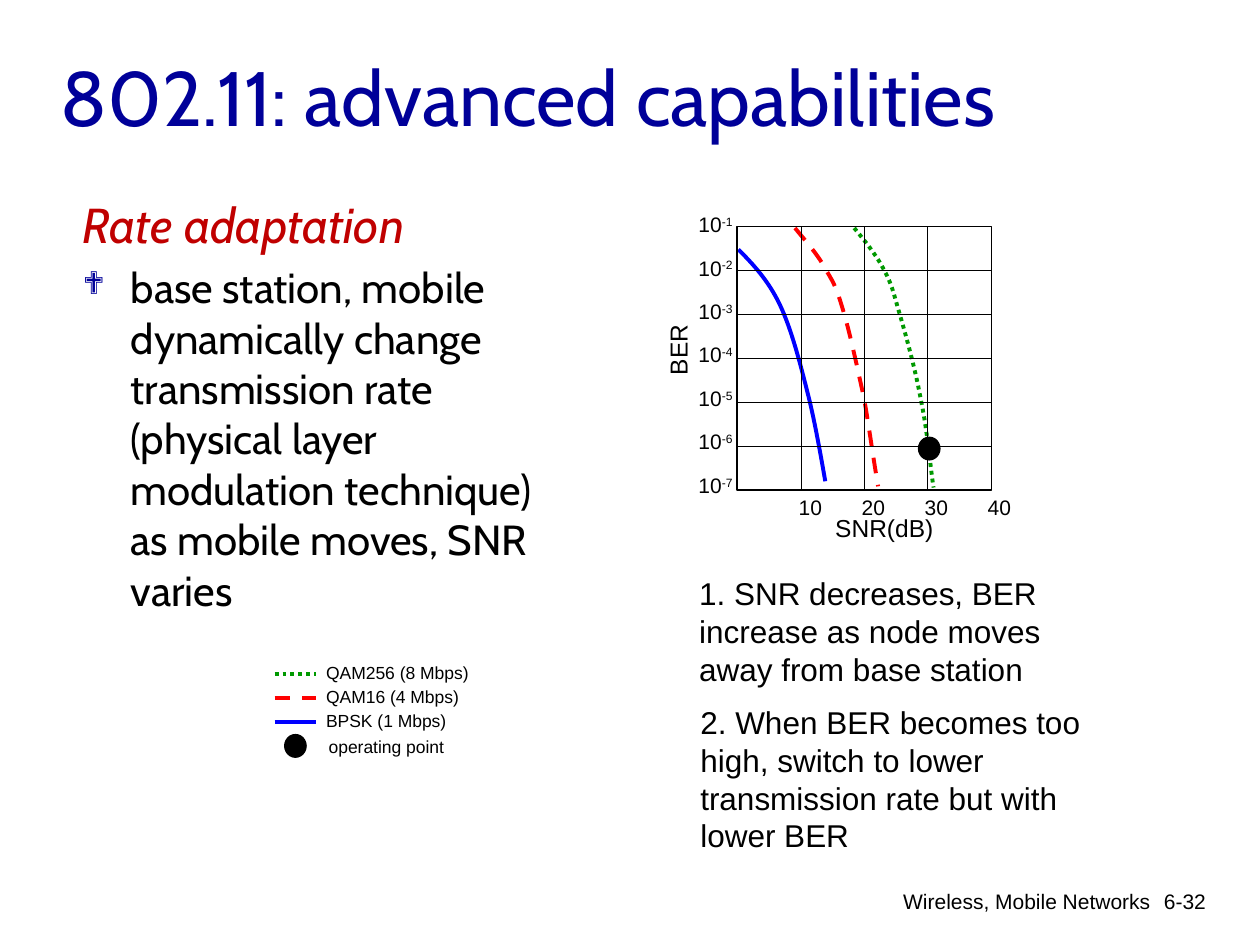
from dataclasses import dataclass

import lxml.etree
import pptx
import pptx.dml.color
import pptx.enum.dml
import pptx.enum.shapes
import pptx.enum.text
import pptx.oxml.ns
import pptx.util

RGB = pptx.dml.color.RGBColor
BLACK = RGB(0x00, 0x00, 0x00)
NAVY = RGB(0x00, 0x00, 0x99)
CRIMSON = RGB(0xC0, 0x00, 0x00)
GREEN = RGB(0x00, 0x99, 0x00)
RED = RGB(0xFF, 0x00, 0x00)
BLUE = RGB(0x00, 0x00, 0xFF)

DASH = pptx.enum.dml.MSO_LINE
AUTO = pptx.enum.text.MSO_AUTO_SIZE
SHAPE = pptx.enum.shapes.MSO_SHAPE
RIGHT = pptx.enum.text.PP_ALIGN.RIGHT
qn = pptx.oxml.ns.qn

# The slide is a grid of 100 columns by 75 rows of square cells.
CELL = pptx.util.Inches(0.1)
COLS, ROWS = 100, 75
PLOT_X, PLOT_Y, PLOT_W, PLOT_H = 58.5, 18, 20.2, 20.9
PLOT_COLS, PLOT_ROWS = 4, 6
TICK_GAP = 5
DOT_W, DOT_H = 1.7, 1.8


@dataclass
class Series:
    """A modulation scheme; points are a start and then Bezier triples."""
    name: str
    color: RGB
    dash: DASH
    points: list[tuple[float, float]]


@dataclass
class Label:
    text: str
    x: float
    y: float
    w: float
    h: float
    size: float = 12
    sup: str = ""
    wrap: bool = False
    align: pptx.enum.text.PP_ALIGN | None = None
    rotation: float = 0


SERIES = [
    Series("QAM256 (8 Mbps)", GREEN, DASH.ROUND_DOT, [
        (67.8, 18.1), (68.7, 19.2), (69.6, 20.3), (70.2, 21.5),
        (70.8, 22.6), (70.9, 23.2), (71.4, 24.9),
        (71.9, 26.6), (72.7, 29.5), (73.1, 31.8),
        (73.6, 34.1), (73.9, 37.6), (74.1, 38.7)]),
    Series("QAM16 (4 Mbps)", RED, DASH.DASH, [
        (63.1, 18.1), (64, 19.2), (65, 20.3), (65.6, 21.5),
        (66.3, 22.6), (66.5, 23.2), (67, 24.9),
        (67.5, 26.6), (68.1, 29.4), (68.6, 31.7),
        (69, 34), (69.3, 36.3), (69.7, 38.6)]),
    Series("BPSK (1 Mbps)", BLUE, DASH.SOLID, [
        (58.6, 19.8), (59.8, 21), (61, 22.3), (61.9, 24.2),
        (62.8, 26.1), (63.5, 28.8), (64.1, 31.2),
        (64.7, 33.5), (65.3, 37.1), (65.5, 38.2)]),
]


def cells(*counts: float) -> list[int]:
    return [round(n * CELL) for n in counts]


def add_run(p, text: str, size: float, name: str = "Arial", color: RGB = BLACK,
            italic: bool = False):
    r = p.add_run()
    r.text = text
    style = {"size": pptx.util.Pt(size), "name": name, "italic": italic}
    for key, value in style.items():
        setattr(r.font, key, value)
    r.font.color.rgb = color
    return r


def add_label(s, label: Label) -> None:
    box = s.shapes.add_textbox(*cells(label.x, label.y, label.w, label.h))
    box.rotation = label.rotation
    tf = box.text_frame
    tf.word_wrap = label.wrap
    tf.auto_size = AUTO.NONE if label.wrap else AUTO.SHAPE_TO_FIT_TEXT
    p = tf.paragraphs[0]
    p.alignment = label.align
    add_run(p, label.text, label.size)
    if label.sup:
        r = add_run(p, label.sup, label.size)
        r.font._element.set("baseline", "30000")


def style_line(line, color: RGB, width: float, dash: DASH = DASH.SOLID) -> None:
    line.color.rgb = color
    line.width = pptx.util.Pt(width)
    line.dash_style = dash


def add_line(s, x1: float, y1: float, x2: float, y2: float, color: RGB = BLACK,
             width: float = 0.75, dash: DASH = DASH.SOLID):
    c = s.shapes.add_connector(pptx.enum.shapes.MSO_CONNECTOR.STRAIGHT,
                               *cells(x1, y1, x2, y2))
    style_line(c.line, color, width, dash)
    lxml.etree.SubElement(c._element.spPr, qn("a:effectLst"))
    return c


def add_curve(s, series: Series) -> None:
    """Build an outline through all points, then join each triple as a Bezier."""
    builder = s.shapes.build_freeform(*cells(*series.points[0]))
    builder.add_line_segments([cells(*q) for q in series.points[1:]], close=False)
    sp = builder.convert_to_shape()
    segments = list(sp._element.iter(qn("a:lnTo")))
    outline = segments[0].getparent()
    for i in range(0, len(segments), 3):
        bezier = lxml.etree.SubElement(outline, qn("a:cubicBezTo"))
        for segment in segments[i:i + 3]:
            bezier.append(segment[0])
            outline.remove(segment)
    sp.shadow.inherit = False
    sp.fill.background()
    style_line(sp.line, series.color, 2.25, series.dash)


def add_dot(s, x: float, y: float) -> None:
    sp = s.shapes.add_shape(SHAPE.OVAL, *cells(x, y, DOT_W, DOT_H))
    sp.shadow.inherit = False
    sp.fill.solid()
    sp.fill.fore_color.rgb = BLACK
    style_line(sp.line, BLACK, 0.75)


def add_title(s) -> None:
    title = s.shapes.title
    title.left, title.top, title.width, title.height = cells(3.8, 3, 85, 9.2)
    tf = title.text_frame
    tf.auto_size = AUTO.NONE
    tf.vertical_anchor = pptx.enum.text.MSO_ANCHOR.MIDDLE
    tf.paragraphs[0].alignment = pptx.enum.text.PP_ALIGN.LEFT
    add_run(tf.paragraphs[0], "802.11: advanced capabilities", 44, "Cabin", NAVY)


def add_body(s) -> None:
    tf = s.shapes.add_textbox(*cells(5.6, 14.95, 41, 50.8)).text_frame
    tf.word_wrap = True
    head, item = tf.paragraphs[0], tf.add_paragraph()
    add_run(head, "Rate adaptation", 28, "Cabin", CRIMSON, italic=True)
    add_run(item, "base station, mobile dynamically change transmission rate "
                  "(physical layer modulation technique) as mobile moves, SNR varies",
            24, "Cabin")
    indent = cells(3.8)[0]
    for p, size in ((head, 28), (item, 24)):
        p.space_before = pptx.util.Pt(0.2 * size)
        pPr = p._p.get_or_add_pPr()
        pPr.set("marL", str(indent))
        pPr.set("indent", str(-indent))
    pPr = item._p.get_or_add_pPr()
    color = lxml.etree.SubElement(pPr, qn("a:buClr"))
    lxml.etree.SubElement(color, qn("a:srgbClr"), val=str(NAVY))
    lxml.etree.SubElement(pPr, qn("a:buSzPct"), val="75000")
    lxml.etree.SubElement(pPr, qn("a:buFont"), typeface="Wingdings")
    lxml.etree.SubElement(pPr, qn("a:buChar"), char="❖")


def add_plot(s) -> None:
    for series in reversed(SERIES):
        add_curve(s, series)
    plot = s.shapes.add_shape(SHAPE.RECTANGLE, *cells(PLOT_X, PLOT_Y, PLOT_W, PLOT_H))
    plot.shadow.inherit = False
    plot.fill.background()
    style_line(plot.line, BLACK, 0.75)
    right, bottom = PLOT_X + PLOT_W, PLOT_Y + PLOT_H
    for row in range(1, PLOT_ROWS):
        y = PLOT_Y + PLOT_H * row / PLOT_ROWS
        c = add_line(s, PLOT_X, y, right, y)
        if 2 * row == PLOT_ROWS:
            c.begin_connect(plot, 1)
            c.end_connect(plot, 3)
    for col in range(1, PLOT_COLS):
        x = PLOT_X + PLOT_W / 2 + TICK_GAP * (col - PLOT_COLS / 2)
        c = add_line(s, x, PLOT_Y, x, bottom)
        if 2 * col == PLOT_COLS:
            c.begin_connect(plot, 0)
            c.end_connect(plot, 2)
    for i in range(PLOT_COLS):
        add_label(s, Label(str(10 * (i + 1)), 62.4 + TICK_GAP * i, 38.75, 3.9, 3))
    for i in range(PLOT_ROWS + 1):
        add_label(s, Label("10", 54.45, 16.3 + 3.45 * i, 4.8, 3, sup=f"-{i + 1}"))
    add_label(s, Label("SNR(dB)", 65.3, 40.2, 9.8, 3.3, 14))
    add_label(s, Label("BER", 50.8, 26.1, 6, 3.3, 14, rotation=270))
    add_dot(s, 72.9, 34.7)


def add_legend(s) -> None:
    top, pitch = 53.5, 1.9
    for i, series in enumerate(SERIES):
        y = top + pitch * i
        add_line(s, 21.8, y, 25.1, y, series.color, 2.25, series.dash)
        add_label(s, Label(series.name, 24.9, y - 1.45, 13.3, 2.7, 10))
    y = top + pitch * len(SERIES)
    add_dot(s, 22.6, y - DOT_H / 2)
    add_label(s, Label("operating point", 25.1, y - 1.3, 11.5, 2.7, 10))


def main() -> None:
    prs = pptx.Presentation()
    prs.slide_width, prs.slide_height = cells(COLS, ROWS)
    s = prs.slides.add_slide(prs.slide_layouts.get_by_name("Title Only"))
    add_title(s)
    add_body(s)
    add_legend(s)
    add_plot(s)
    for label in (
        Label("1. SNR decreases, BER increase as node moves away from base station",
              54.5, 45.1, 35, 10, 18, wrap=True),
        Label("2. When BER becomes too high, switch to lower transmission rate "
              "but with lower BER", 54.6, 55.3, 35, 13, 18, wrap=True),
        Label("Wireless, Mobile Networks", 50.1, 70, 42.2, 3.5, wrap=True, align=RIGHT),
        Label("6-32", 89.3, 70, 7.4, 5, wrap=True, align=RIGHT),
    ):
        add_label(s, label)
    prs.save("out.pptx")


if __name__ == "__main__":
    main()
